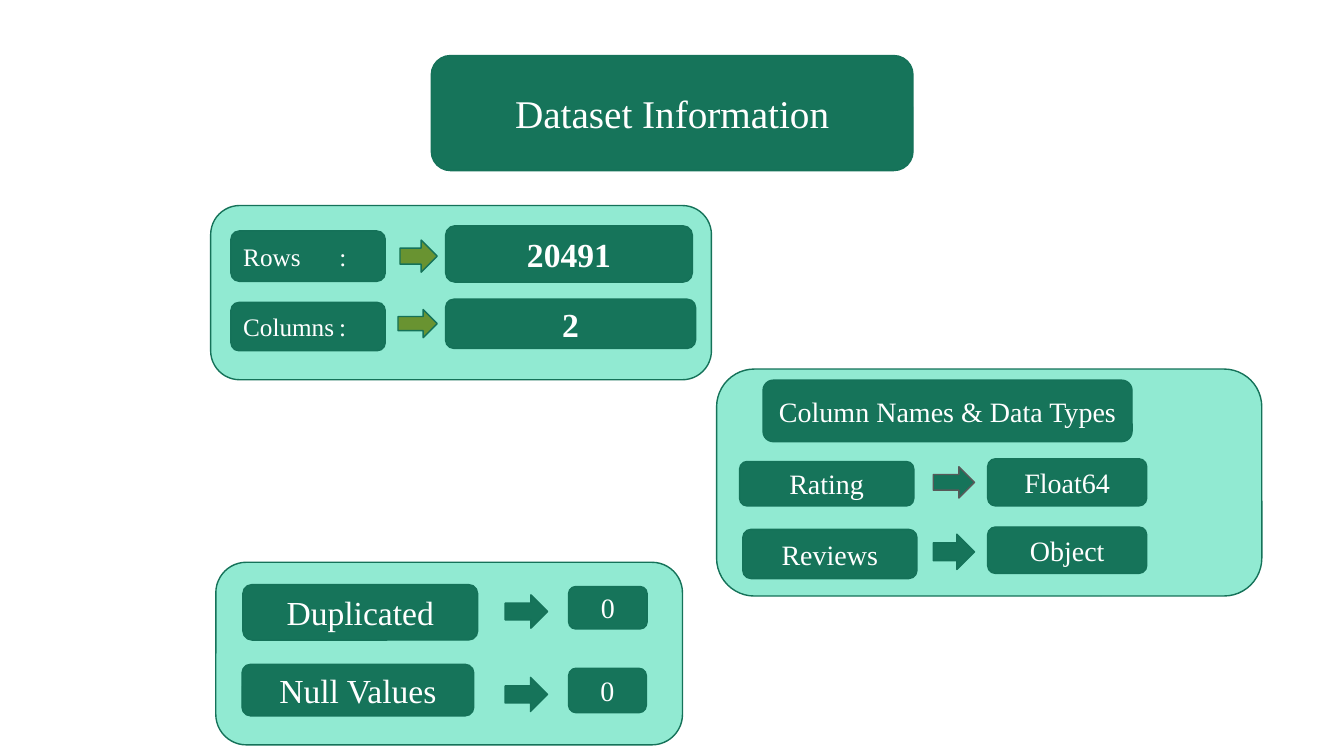
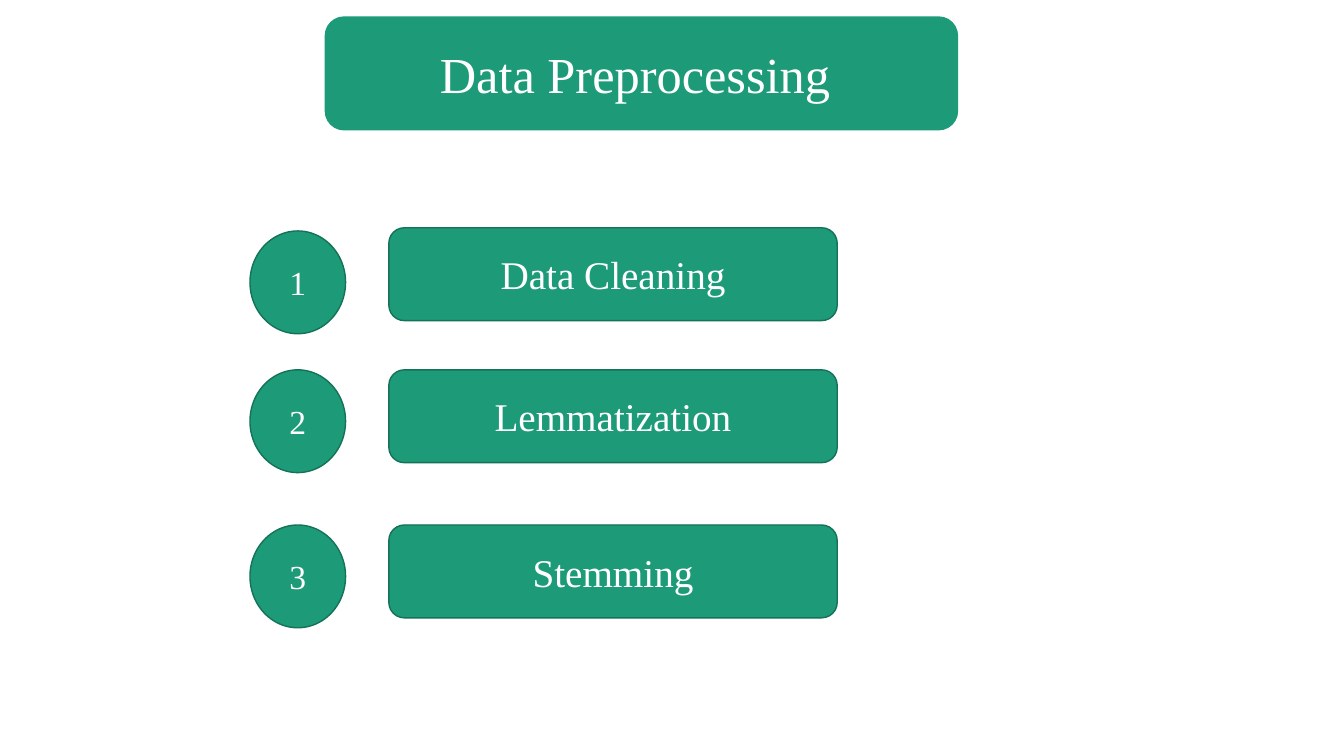
import pptx
import pptx.util
import pptx.dml.color
import pptx.enum.shapes
import pptx.enum.text
import pptx.oxml.ns
import lxml.etree
from dataclasses import dataclass

Cm, Pt = pptx.util.Cm, pptx.util.Pt
Kind = pptx.enum.shapes.MSO_SHAPE
Align = pptx.enum.text.PP_ALIGN


@dataclass(frozen=True)
class Theme:
    # Colours
    deep: str = "16745A"
    green: str = "1D9A78"
    mint: str = "91EAD2"
    olive: str = "699331"
    edge: str = "157259"
    grey: str = "595959"
    white: str = "FFFFFF"
    # Type
    font: str = "Times New Roman"
    title: int = 36
    head: int = 28
    large: int = 24
    body: int = 20
    small: int = 18


class Deck:
    def __init__(self, theme):
        self.theme = theme
        self.show = pptx.Presentation()
        self.show.slide_width = Cm(33.87)
        self.show.slide_height = Cm(19.05)
        self.slide = None

    def page(self):
        self.slide = self.show.slides.add_slide(self.show.slide_layouts[6])

    def shape(self, kind, area, fill, line=None):
        item = self.slide.shapes.add_shape(kind, *map(Cm, area))
        item.shadow.inherit = False
        color = pptx.dml.color.RGBColor.from_string
        item.fill.solid()
        item.fill.fore_color.rgb = color(fill)
        item.line.color.rgb = color(line or self.theme.edge)
        item.line.width = Pt(1)
        return item

    def text(self, item, words, size, bold=False, align=Align.CENTER):
        frame = item.text_frame
        frame.word_wrap = True
        frame.vertical_anchor = pptx.enum.text.MSO_ANCHOR.MIDDLE
        para = frame.paragraphs[0]
        para.alignment = align
        run = para.add_run()
        run.text = words
        run.font.name = self.theme.font
        run.font.size = Pt(size)
        run.font.bold = bold
        run.font.color.rgb = pptx.dml.color.RGBColor.from_string(self.theme.white)
        return para

    def card(self, area):
        self.shape(Kind.ROUNDED_RECTANGLE, area, self.theme.mint)

    def box(self, area, words, size, fill=None, line=None, **style):
        item = self.shape(Kind.ROUNDED_RECTANGLE, area, fill or self.theme.deep, line)
        return self.text(item, words, size, **style)

    def label(self, area, words):
        para = self.box(area, words, self.theme.small, align=Align.LEFT)
        # Tab stop that lines up the colons
        tag = pptx.oxml.ns.qn
        tabs = lxml.etree.SubElement(para._p.get_or_add_pPr(), tag("a:tabLst"))
        lxml.etree.SubElement(tabs, tag("a:tab"), pos=str(Cm(2.42)), algn="l")

    def arrow(self, area, fill=None, line=None):
        self.shape(Kind.RIGHT_ARROW, area, fill or self.theme.deep, line)

    def disc(self, area, words):
        item = self.shape(Kind.OVAL, area, self.theme.green)
        self.text(item, words, self.theme.large)


look = Theme()
deck = Deck(look)

# Slide 1: title and cards
deck.page()
deck.box((10.87, 1.4, 12.14, 2.9), "Dataset Information", look.head)
for area in ((5.31, 5.18, 12.62, 4.39), (5.44, 14.17, 11.76, 4.6),
             (18.06, 9.3, 13.74, 5.72)):
    deck.card(area)

# Size of the data: label, arrow, count
sizes = (
    ("Rows\t:", (5.82, 5.82, 3.89, 1.27), (10.08, 6.05, 0.94, 0.81),
     "20491", (11.23, 5.69, 6.22, 1.42)),
    ("Columns\t:", (5.82, 7.62, 3.89, 1.22), (10.03, 7.8, 0.99, 0.71),
     "2", (11.23, 7.54, 6.3, 1.24)),
)
for name, left, mid, count, right in sizes:
    deck.label(left, name)
    deck.arrow(mid, look.olive)
    deck.box(right, count, look.large, bold=True)

# Data types and checks: name, arrow, value
deck.box((19.23, 9.58, 9.3, 1.55), "Column Names & Data Types", look.body)
pairs = (
    ("Rating", look.body, (18.64, 11.63, 4.39, 1.12), (23.52, 11.76, 1.04, 0.79),
     look.grey, "Float64", (24.89, 11.56, 4.01, 1.19)),
    ("Reviews", look.body, (18.72, 13.34, 4.39, 1.24), (23.52, 13.46, 1.04, 0.89),
     look.edge, "Object", (24.89, 13.28, 4.01, 1.17)),
    ("Duplicated", look.large, (6.12, 14.73, 5.92, 1.4), (12.73, 14.99, 1.07, 0.84),
     look.edge, "0", (14.33, 14.78, 1.98, 1.07)),
    ("Null Values", look.large, (6.1, 16.74, 5.84, 1.3), (12.73, 17.07, 1.07, 0.86),
     look.edge, "0", (14.33, 16.84, 1.96, 1.12)),
)
for name, size, left, mid, line, value, right in pairs:
    deck.box(left, name, size)
    deck.arrow(mid, line=line)
    deck.box(right, value, look.body)

# Slide 2: title and numbered steps
deck.page()
deck.box((8.2, 0.43, 15.93, 2.84), "Data Preprocessing ", look.title,
         look.green, look.green)
steps = (("Data Cleaning", 5.82, 5.74), ("Lemmatization", 9.32, 9.32),
         ("Stemming", 13.23, 13.23))
for num, (name, disc, top) in enumerate(steps, 1):
    deck.disc((6.3, disc, 2.41, 2.59), str(num))
    deck.box((9.8, top, 11.3, 2.34), name, look.head, look.green)

deck.show.save("out.pptx")
